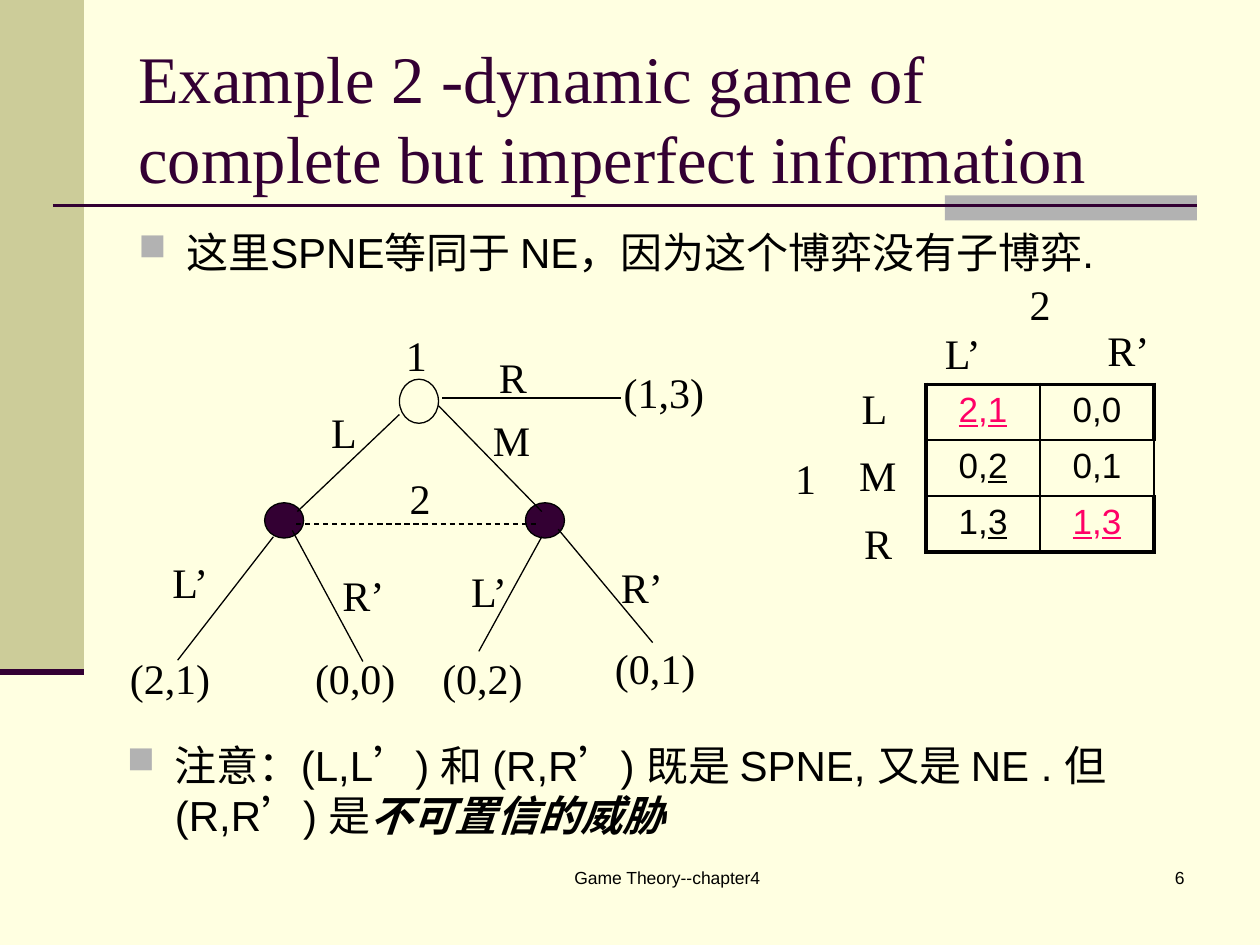
from lxml import etree
from pptx import Presentation
from pptx.dml.color import RGBColor
from pptx.enum.dml import MSO_LINE
from pptx.enum.shapes import MSO_CONNECTOR, MSO_SHAPE
from pptx.enum.text import MSO_ANCHOR, PP_ALIGN
from pptx.oxml.ns import qn
from pptx.util import Inches, Pt

LEFT, CENTER, RIGHT = PP_ALIGN.LEFT, PP_ALIGN.CENTER, PP_ALIGN.RIGHT
MIDDLE, TOP = MSO_ANCHOR.MIDDLE, MSO_ANCHOR.TOP
RECT, OVAL = MSO_SHAPE.RECTANGLE, MSO_SHAPE.OVAL
STRAIGHT, DASH = MSO_CONNECTOR.STRAIGHT, MSO_LINE.DASH
SANS, SERIF = "Arial", "Times New Roman"
PLUM, BLACK, GREY, PINK = "330033", "000000", "B2B2B2", "FF0066"
rgb = RGBColor.from_string

prs = Presentation()
prs.slide_width, prs.slide_height = Inches(10), Inches(7.5)
COL, ROW = prs.slide_width / 100, prs.slide_height / 75  # grid of 100 x 75
s = prs.slides.add_slide(prs.slide_layouts[6])
s.background.fill.solid()
s.background.fill.fore_color.rgb = rgb("FFFFE1")


def on_grid(*lengths):
    """Turn alternating column and row counts into slide lengths."""
    return [round(n * (ROW if i % 2 else COL)) for i, n in enumerate(lengths)]


def add_run(tf, text, size=24, font=SERIF, color=BLACK, align=LEFT,
            bold=None, italic=None, underline=None):
    """Append a run to the first paragraph of a text frame."""
    p = tf.paragraphs[0]
    p.alignment = align
    r = p.add_run()
    r.text = text
    r.font.size, r.font.name = Pt(size), font
    r.font.color.rgb = rgb(color)
    r.font.bold, r.font.italic, r.font.underline = bold, italic, underline


# Side band, title accent and the nodes of the game tree
for kind, box, fill, outline in [
    (RECT, (0, 0, 6.67, 53.3), "CCCC99", None),
    (RECT, (75, 15.5, 20, 2), GREY, None),
    (OVAL, (31.7, 30.1, 3.1, 3.5), None, BLACK),
    (OVAL, (21, 39.9, 3.1, 2.8), PLUM, BLACK),
    (OVAL, (41.7, 39.9, 3.1, 2.8), PLUM, BLACK),
]:
    sp = s.shapes.add_shape(kind, *on_grid(*box))
    sp.shadow.inherit = False
    if fill:
        sp.fill.solid()
        sp.fill.fore_color.rgb = rgb(fill)
    else:
        sp.fill.background()
    if outline:
        sp.line.color.rgb = rgb(outline)
        sp.line.width = Pt(0.75)
    else:
        sp.line.fill.background()

# Rules of the theme, then the branches and the information set
for ends, color, width, dash in [
    ((4.2, 16.3, 95, 16.3), PLUM, 1.5, None),
    ((0, 53.3, 6.67, 53.3), PLUM, 3.5, None),
    ((31.7, 32.9, 23.6, 40.6), BLACK, 0.75, None),
    ((34.8, 32.2, 43, 40.6), BLACK, 0.75, None),
    ((35.1, 31.6, 49.3, 31.6), BLACK, 0.75, None),
    ((21.7, 42.6, 14.1, 52.4), BLACK, 0.75, None),
    ((23.2, 42.1, 28.8, 52.5), BLACK, 0.75, None),
    ((43, 42.6, 38, 51.7), BLACK, 0.75, None),
    ((44.3, 42, 51.8, 51), BLACK, 0.75, None),
    ((23.5, 41.6, 42.6, 41.6), BLACK, 0.75, DASH),
]:
    line = s.shapes.add_connector(STRAIGHT, *on_grid(*ends))
    line.line.color.rgb = rgb(color)
    line.line.width = Pt(width)
    if dash:
        line.line.dash_style = dash
    etree.SubElement(line._element.spPr, qn("a:effectLst"))

# Title and footer
for text, box, anchor, look in [
    ("Example 2 -dynamic game of complete but imperfect information",
     (10, 3, 85, 12.5), MIDDLE, dict(size=38, color=PLUM)),
    ("Game Theory--chapter4", (36.7, 68.3, 32.5, 5), TOP,
     dict(size=10, font=SANS, align=CENTER)),
    ("6", (74.2, 68.3, 20.8, 5), TOP, dict(size=10, font=SANS, align=RIGHT)),
]:
    tf = s.shapes.add_textbox(*on_grid(*box)).text_frame
    tf.word_wrap = True
    tf.vertical_anchor = anchor
    add_run(tf, text, **look)

# Bulleted remarks
for box, runs in [
    ((10, 17.5, 83.8, 49.5),
     [("这里SPNE等同于 NE，因为这个博弈没有子博弈.", {})]),
    ((9.1, 58.2, 81.7, 8.1),
     [("注意：(L,L’) 和 (R,R’) 既是 SPNE, 又是 NE . 但 (R,R’) 是", {}),
      ("不可置信的威胁", dict(bold=True, italic=True))]),
]:
    tf = s.shapes.add_textbox(*on_grid(*box)).text_frame
    tf.word_wrap = True
    pPr = tf.paragraphs[0]._p.get_or_add_pPr()
    pPr.set("marL", str(Inches(0.38)))
    pPr.set("indent", str(-Inches(0.38)))
    etree.SubElement(etree.SubElement(pPr, qn("a:buClr")), qn("a:srgbClr"), val=GREY)
    etree.SubElement(pPr, qn("a:buSzPct"), val="90000")
    etree.SubElement(pPr, qn("a:buChar"), char="■")
    for text, look in runs:
        add_run(tf, text, font=SANS, **look)

# Players, moves and payoffs: text, left, top, width
for text, left, top, width in [
    ("1", 31.2, 25.7, 3.7), ("2", 31.5, 37, 3.7),
    ("L", 25.3, 31.8, 4), ("M", 38.1, 32.4, 5), ("R", 38.6, 27.4, 4.2),
    ("L’", 12.5, 43.7, 5.2), ("R’", 26.2, 44.7, 5.3),
    ("L’", 36.2, 44.4, 5.2), ("R’", 48.3, 44.1, 5.3),
    ("(2,1)", 9.3, 51.3, 8.4), ("(0,0)", 24, 51.3, 8.4),
    ("(0,2)", 34.1, 51.3, 8.4), ("(0,1)", 47.8, 50.5, 8.4),
    ("(1,3)", 48.5, 28.6, 8.4),
    ("1", 62.1, 35.4, 3.7), ("L", 67.4, 29.9, 4),
    ("M", 67.2, 35.2, 4.9), ("R", 67.6, 40.6, 4.2),
    ("2", 80.7, 21.6, 3.7), ("L’", 73.8, 25.5, 5.2), ("R’", 86.9, 25.3, 5.3),
]:
    tf = s.shapes.add_textbox(*on_grid(left, top, width, 5)).text_frame
    tf.word_wrap = False
    add_run(tf, text, align=CENTER)

# Payoff matrix: each cell holds both payoffs, best replies and colour
payoffs = [
    [("2", "1", True, True, PINK), ("0", "0", False, False, BLACK)],
    [("0", "2", False, True, BLACK), ("0", "1", False, False, BLACK)],
    [("1", "3", False, True, BLACK), ("1", "3", True, True, PINK)],
]
THIN, THICK = Pt(1), Pt(2.25)
table = s.shapes.add_table(3, 2, *on_grid(73.5, 30.5, 18.1, 13.3)).table
table.first_row = table.horz_banding = False
for i, row in enumerate(payoffs):
    for j, (first, second, best_1, best_2, color) in enumerate(row):
        cell = table.cell(i, j)
        edges = {
            "lnL": THICK if j == 0 else THIN,
            "lnR": THICK if j == 1 and i != 1 else THIN,
            "lnT": THICK if i == 0 else THIN,
            "lnB": THICK if i == 2 else THIN,
        }
        tcPr = cell._tc.get_or_add_tcPr()
        for edge, width in edges.items():
            ln = etree.SubElement(tcPr, qn(f"a:{edge}"), w=str(width))
            fill = etree.SubElement(ln, qn("a:solidFill"))
            etree.SubElement(fill, qn("a:srgbClr"), val=BLACK)
        cell.fill.background()
        for text, best in [(first, best_1), (",", False), (second, best_2)]:
            add_run(cell.text_frame, text, size=20, font=SANS, color=color,
                    align=CENTER, underline=best)

prs.save("out.pptx")
